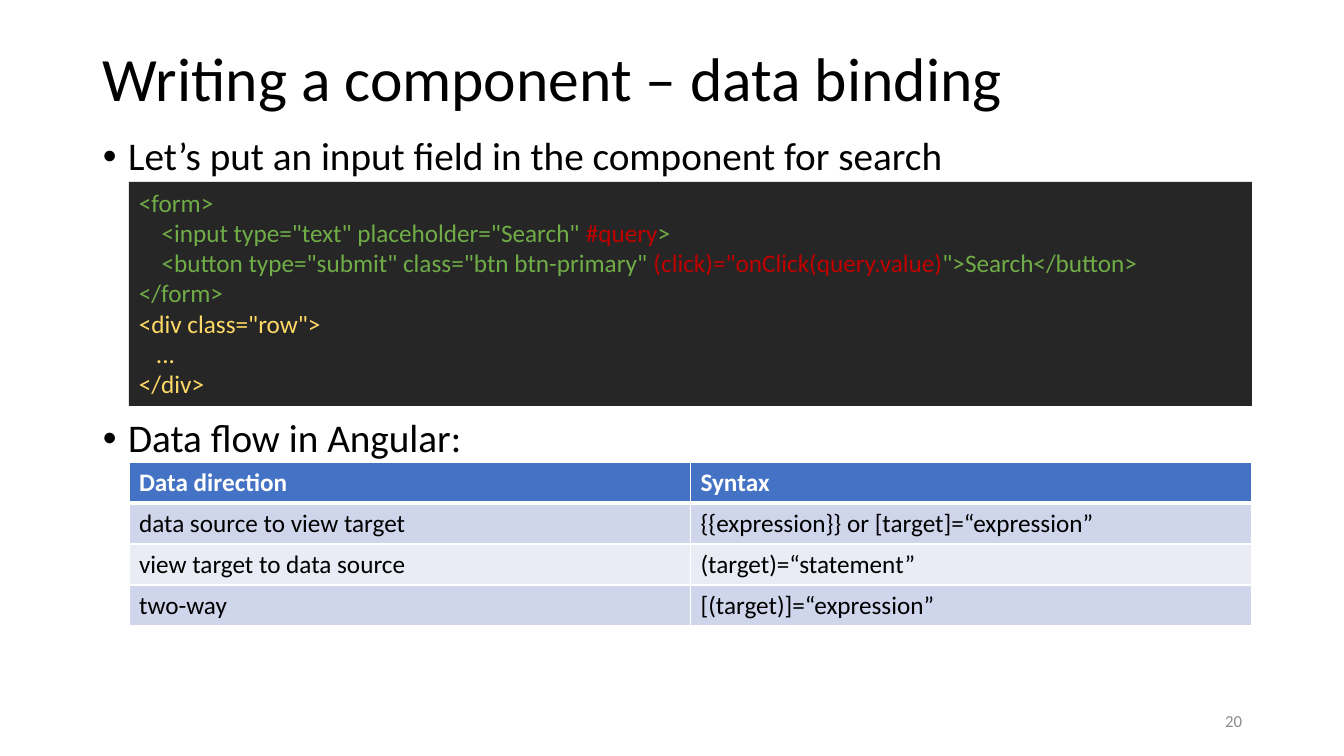
from lxml import etree
from pptx import Presentation
from pptx import util as u
from pptx.dml.color import RGBColor
from pptx.enum import shapes, text
from pptx.oxml.ns import qn

PX = 12192000 / 1344
BLACK, WHITE, GREEN, RED, YELLOW = "000000", "FFFFFF", "70AD47", "C00000", "FFD966"
LEFT, WIDTH = 129, 1123  # shared by the code panel and the table


def px(*lengths):
    return [u.Emu(round(length * PX)) for length in lengths]


def add_span(para, words, size, color, bold=False):
    span = para.add_run()
    span.text = words
    span.font.name = "Calibri"
    span.font.size = u.Pt(size)
    span.font.bold = bold
    span.font.color.rgb = RGBColor.from_string(color)


deck = Presentation()
deck.slide_width, deck.slide_height = px(1344, 756)
page = deck.slides.add_slide(deck.slide_layouts[6])

# Title, bullets and page number
lines = [
    ("Writing a component – data binding", (93, 40, 1159, 83), 44, BLACK, False),
    ("Let’s put an input field in the component for search", (93, 132, 1159, 50), 28, BLACK, True),
    ("Data flow in Angular:", (93, 414, 1159, 48), 28, BLACK, True),
    ("20", (950, 701, 302, 40), 12, "8C8C8C", False),
]
for words, place, size, color, bulleted in lines:
    box = page.shapes.add_textbox(*px(*place))
    frame = box.text_frame
    frame.word_wrap = True
    frame.vertical_anchor = text.MSO_ANCHOR.TOP if bulleted else text.MSO_ANCHOR.MIDDLE
    para = frame.paragraphs[0]
    if bulleted:
        props = para._p.get_or_add_pPr()
        props.set("marL", "228600")
        props.set("indent", "-228600")
        etree.SubElement(props, qn("a:buFont")).set("typeface", "Arial")
        etree.SubElement(props, qn("a:buChar")).set("char", "•")
    if words == "20":
        para.alignment = text.PP_ALIGN.RIGHT
    else:
        para.line_spacing = 0.9
    add_span(para, words, size, color)

# Code panel
code = [
    [("<form>", GREEN)],
    [('    <input type="text" placeholder="Search" ', GREEN), ("#query", RED), (">", GREEN)],
    [('    <button type="submit" class="btn btn-primary" ', GREEN),
     ('(click)="onClick(query.value)', RED), ('">Search</button>', GREEN)],
    [("</form>", GREEN)],
    [('<div class="row">', YELLOW)],
    [("   ...", YELLOW)],
    [("</div>", YELLOW)],
]
panel = page.shapes.add_shape(shapes.MSO_SHAPE.RECTANGLE, *px(LEFT, 182, WIDTH, 224))
panel.shadow.inherit = False
panel.fill.solid()
panel.fill.fore_color.rgb = RGBColor.from_string("262626")
panel.line.fill.background()
panel.text_frame.word_wrap = True
panel.text_frame.vertical_anchor = text.MSO_ANCHOR.TOP
para = panel.text_frame.paragraphs[0]
para.alignment = text.PP_ALIGN.LEFT
for number, pieces in enumerate(code):
    if number:
        para.add_line_break()
    for words, color in pieces:
        add_span(para, words, 18, color)

# Data flow table
rows = [
    ("Data direction", "Syntax"),
    ("data source to view target", "{{expression}} or [target]=“expression”"),
    ("view target to data source", "(target)=“statement”"),
    ("two-way", "[(target)]=“expression”"),
]
fills = ["4472C4", "CFD5EA", "E9EBF5", "CFD5EA"]
table = page.shapes.add_table(len(rows), 2, *px(LEFT, 462, WIDTH, 41 * len(rows))).table
for r, row in enumerate(rows):
    header = r == 0
    table.rows[r].height = px(41)[0]
    for c, words in enumerate(row):
        cell = table.cell(r, c)
        props = cell._tc.get_or_add_tcPr()
        for side in "LRTB":
            thick = (header and side == "B") or (r == 1 and side == "T")
            edge = etree.SubElement(props, qn("a:ln" + side), w=str(u.Pt(3 if thick else 1)))
            paint = etree.SubElement(edge, qn("a:solidFill"))
            etree.SubElement(paint, qn("a:srgbClr"), val=WHITE)
        cell.fill.solid()
        cell.fill.fore_color.rgb = RGBColor.from_string(fills[r])
        add_span(cell.text_frame.paragraphs[0], words, 18, WHITE if header else BLACK, header)

deck.save("out.pptx")
